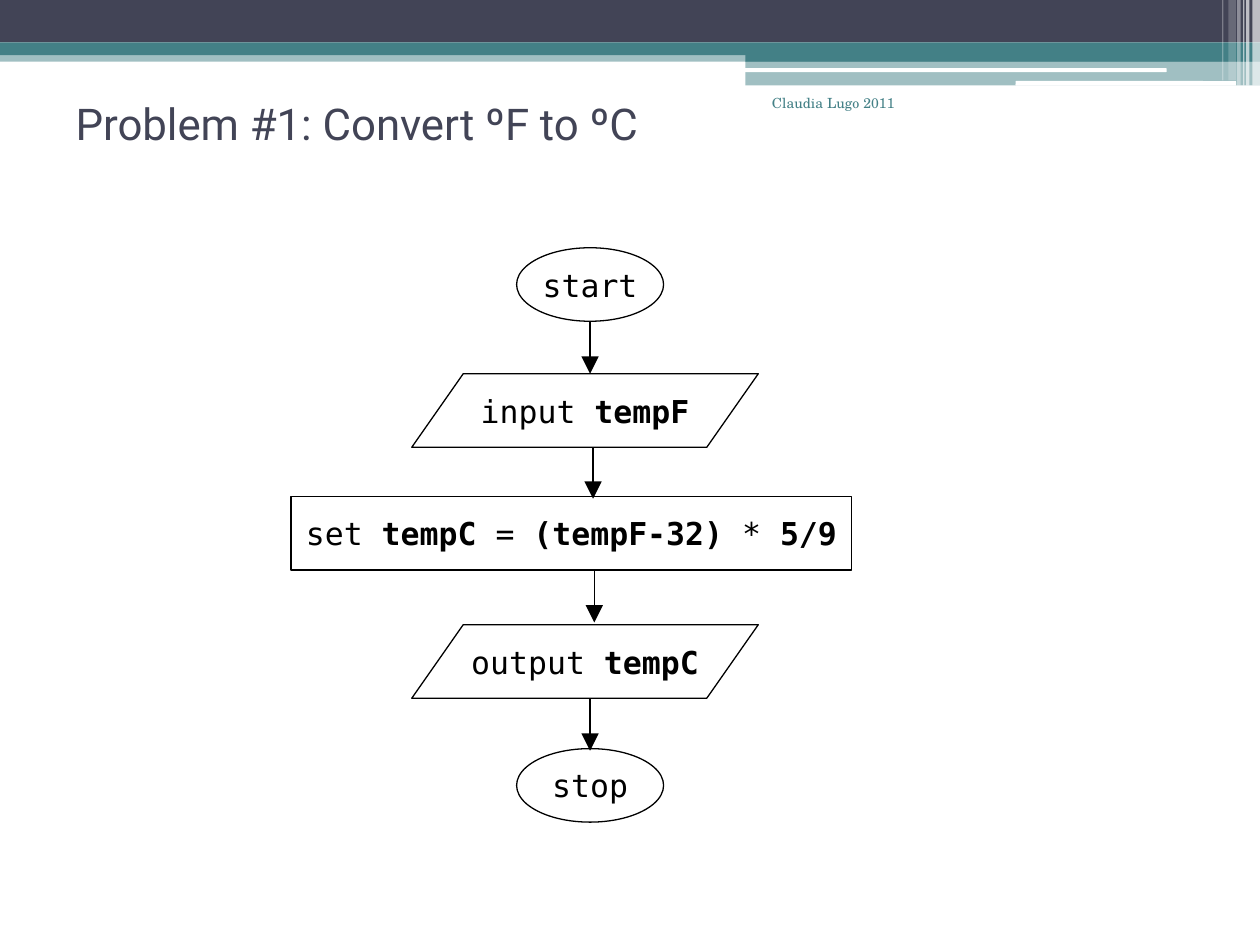
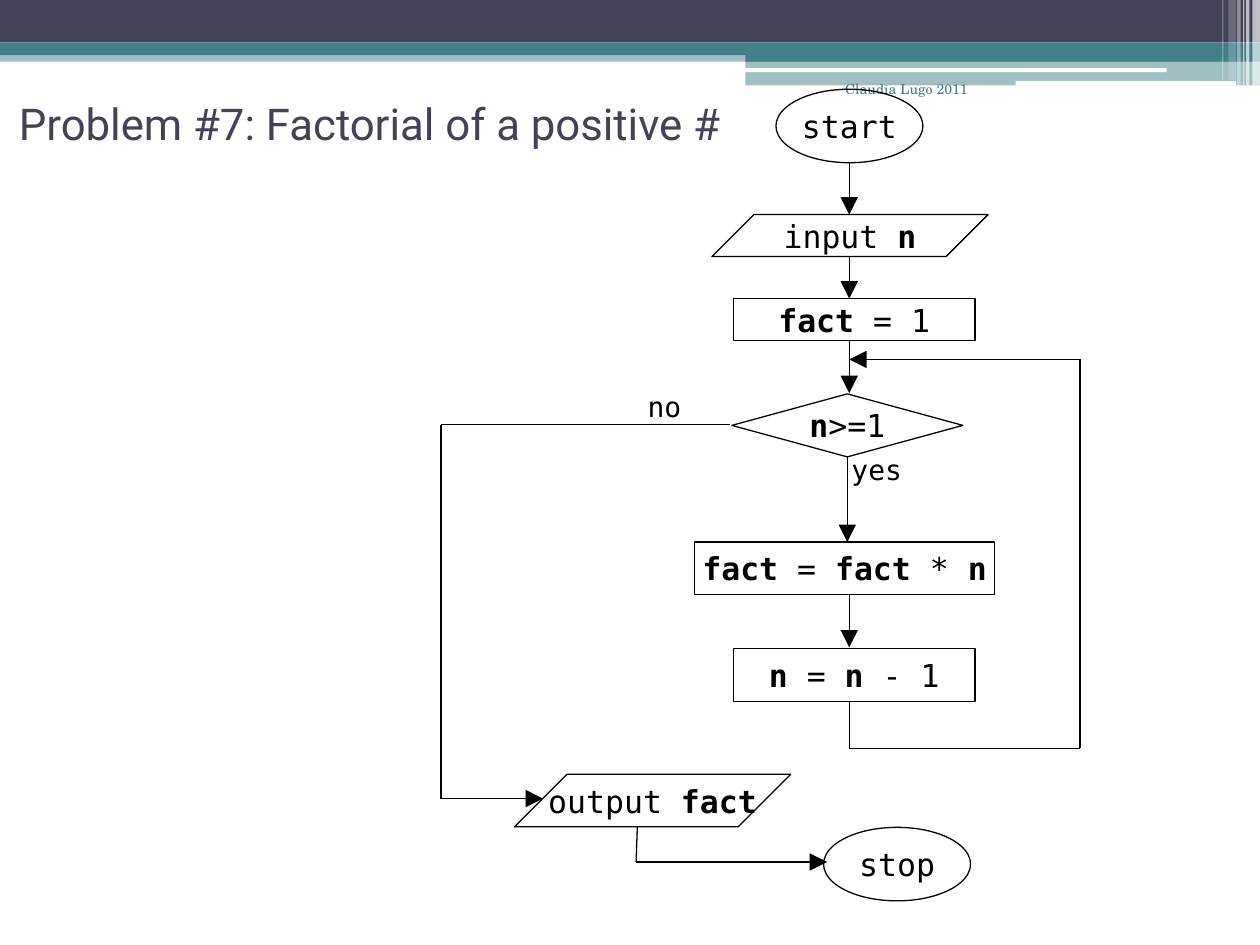
from dataclasses import dataclass

from lxml.etree import SubElement
from pptx import Presentation
from pptx.dml.color import RGBColor
from pptx.enum.shapes import MSO_CONNECTOR, MSO_SHAPE
from pptx.enum.text import MSO_ANCHOR, MSO_AUTO_SIZE, PP_ALIGN
from pptx.oxml.ns import qn
from pptx.slide import Slide, SlideLayout
from pptx.text.text import TextFrame
from pptx.util import Pt


@dataclass(frozen=True)
class TextStyle:
    font: str
    size: float
    color: str


@dataclass(frozen=True)
class Theme:
    navy: str = "424456"
    teal: str = "438086"
    white: str = "FFFFFF"
    black: str = "000000"
    line_width: float = 0.75
    title: TextStyle = TextStyle("Roboto", 25, "424456")
    footer: TextStyle = TextStyle("TeX Gyre Schola", 8, "438086")
    step: TextStyle = TextStyle("DejaVu Sans Mono", 18, "000000")
    label: TextStyle = TextStyle("DejaVu Sans Mono", 16, "000000")


THEME = Theme()


@dataclass(frozen=True)
class Box:
    left: float
    top: float
    width: float
    height: float

    def lengths(self) -> tuple[Pt, Pt, Pt, Pt]:
        return Pt(self.left), Pt(self.top), Pt(self.width), Pt(self.height)


@dataclass(frozen=True)
class Band:
    box: Box
    color: str
    opacity: int = 100
    rounded: bool = False


@dataclass(frozen=True)
class Step:
    kind: MSO_SHAPE
    text: str
    box: Box
    slant: float | None = None


@dataclass(frozen=True)
class Route:
    points: tuple[tuple[float, float], ...]


@dataclass(frozen=True)
class Label:
    text: str
    box: Box


@dataclass(frozen=True)
class Flowchart:
    title: str
    title_left: float
    footer_left: float
    footer_top: float
    steps: tuple[Step, ...]
    routes: tuple[Route, ...]
    labels: tuple[Label, ...] = ()


def terminal(text: str, left: float, top: float) -> Step:
    return Step(MSO_SHAPE.OVAL, text, Box(left, top, 84, 42))


def process(text: str, left: float, top: float, width: float, height: float) -> Step:
    return Step(MSO_SHAPE.RECTANGLE, text, Box(left, top, width, height))


def data(text: str, left: float, top: float, width: float, height: float, slant: float) -> Step:
    return Step(MSO_SHAPE.PARALLELOGRAM, text, Box(left, top, width, height), slant)


def down(x: float, start: float, end: float) -> Route:
    return Route(((x, start), (x, end)))


BANDS = (
    Band(Box(0, 28.8, 720, 6.5), THEME.teal, 50),
    Band(Box(0, 0, 720, 24.3), THEME.navy),
    Band(Box(0, 24.3, 720, 7.2), THEME.teal),
    Band(Box(426, 28, 294, 7.2), THEME.teal),
    Band(Box(426, 34.8, 294, 14), THEME.teal, 50),
    Band(Box(425.5, 39, 241.2, 2.2), THEME.white, rounded=True),
    Band(Box(580.3, 46.3, 126, 2.7), THEME.white, rounded=True),
    *(
        Band(Box(left, 0, width, height), THEME.white, opacity)
        for left, width, height, opacity in (
            (715.7, 4.3, 49, 65),
            (712, 2, 49, 65),
            (710.4, 0.7, 49, 60),
            (707, 2, 49, 40),
            (702, 4.3, 46, 20),
            (698.4, 0.7, 46, 30),
        )
    ),
)

SPINE = 485.3

FLOWCHARTS = (
    Flowchart(
        title="Problem #1: Convert ºF to ºC",
        title_left=36,
        footer_left=414,
        footer_top=50.4,
        steps=(
            terminal("start", 295.2, 141.6),
            data("input |tempF", 235.3, 213.6, 198, 42, 0.7),
            process("set |tempC |= |(tempF-32)| * |5/9", 166.3, 283.8, 320.4, 42),
            data("output |tempC", 235.3, 357, 198, 42, 0.7),
            terminal("stop", 295.2, 427.8),
        ),
        routes=(
            down(337.2, 183.6, 213.6),
            down(338.9, 255.6, 285),
            down(339.6, 326, 355.7),
            down(337.2, 399, 429),
        ),
    ),
    Flowchart(
        title="Problem #7: Factorial of a positive #",
        title_left=3.6,
        footer_left=455.8,
        footer_top=42.5,
        steps=(
            terminal("start", 443.4, 51),
            data("input |n", 406.8, 122.6, 157.8, 24, 1),
            process("|fact| = 1", 419, 170.6, 138.2, 24),
            Step(MSO_SHAPE.DIAMOND, "|n|>=1", Box(418.2, 225.1, 132, 36)),
            process("|fact| = |fact| * |n", 396.7, 309.7, 171.8, 30),
            process("|n| = |n| - 1", 419, 370.8, 138.2, 30),
            data("output |fact", 294, 442.5, 157.8, 30, 1),
            terminal("stop", 470.6, 472.8),
        ),
        routes=(
            down(SPINE, 93, 122.6),
            down(SPINE, 146.6, 170.6),
            down(SPINE, 194.6, 224.6),
            down(484.2, 261, 309.7),
            down(SPINE, 339.7, 370),
            Route(((SPINE, 400.8), (SPINE, 427.7), (617.2, 427.7), (617.2, 205.4), (SPINE, 205.4))),
            Route(((417, 242.6), (252, 242.6), (252, 456.3), (310.3, 456.3))),
            Route(((364.2, 472.5), (363.5, 492.6), (472.6, 492.6))),
        ),
        labels=(
            Label("no", Box(363, 219, 33.8, 26.6)),
            Label("yes", Box(479.5, 254.8, 44, 26.6)),
        ),
    ),
)


def write_text(
    frame: TextFrame,
    text: str,
    style: TextStyle,
    alignment: PP_ALIGN = PP_ALIGN.LEFT,
    anchor: MSO_ANCHOR = MSO_ANCHOR.TOP,
    wrap: bool = False,
) -> None:
    """Every second part between bars is bold."""
    frame.word_wrap = wrap
    frame.vertical_anchor = anchor
    paragraph = frame.paragraphs[0]
    paragraph.alignment = alignment
    for index, part in enumerate(text.split("|")):
        if part:
            run = paragraph.add_run()
            run.text = part
            run.font.name = style.font
            run.font.size = Pt(style.size)
            run.font.bold = index % 2 == 1
            run.font.color.rgb = RGBColor.from_string(style.color)


def move_bands_to_layout(slide: Slide, layout: SlideLayout) -> None:
    for number, band in enumerate(BANDS, start=100):
        kind = MSO_SHAPE.ROUNDED_RECTANGLE if band.rounded else MSO_SHAPE.RECTANGLE
        shape = slide.shapes.add_shape(kind, *band.box.lengths())
        shape.shadow.inherit = False
        shape.line.fill.background()
        shape.fill.solid()
        shape.fill.fore_color.rgb = RGBColor.from_string(band.color)
        if band.opacity < 100:
            color = shape.element.spPr.find(f"{qn('a:solidFill')}/{qn('a:srgbClr')}")
            SubElement(color, qn("a:alpha"), val=str(band.opacity * 1000))
        shape.element.nvSpPr.cNvPr.set("id", str(number))
        layout.shapes.element.append(shape.element)


def draw_title(slide: Slide, chart: Flowchart) -> None:
    title = slide.shapes.title
    box = Box(chart.title_left, 50.4, 648, 39.6)
    title.left, title.top, title.width, title.height = box.lengths()
    title.text_frame.auto_size = MSO_AUTO_SIZE.NONE
    write_text(title.text_frame, chart.title, THEME.title, anchor=MSO_ANCHOR.MIDDLE, wrap=True)


def draw_footer(slide: Slide, chart: Flowchart) -> None:
    box = Box(chart.footer_left, chart.footer_top, 104.4, 36)
    footer = slide.shapes.add_textbox(*box.lengths())
    write_text(footer.text_frame, "Claudia Lugo 2011", THEME.footer, PP_ALIGN.RIGHT, wrap=True)


def draw_step(slide: Slide, step: Step) -> None:
    shape = slide.shapes.add_shape(step.kind, *step.box.lengths())
    shape.shadow.inherit = False
    shape.fill.background()
    shape.line.color.rgb = RGBColor.from_string(THEME.black)
    shape.line.width = Pt(THEME.line_width)
    if step.slant is not None:
        shape.adjustments[0] = step.slant
    write_text(shape.text_frame, step.text, THEME.step, PP_ALIGN.CENTER, MSO_ANCHOR.MIDDLE)


def draw_route(slide: Slide, route: Route) -> None:
    for start, end in zip(route.points, route.points[1:]):
        connector = slide.shapes.add_connector(
            MSO_CONNECTOR.STRAIGHT, *(Pt(length) for length in start + end)
        )
        connector.line.color.rgb = RGBColor.from_string(THEME.black)
        connector.line.width = Pt(THEME.line_width)
        properties = connector.element.spPr
        if end == route.points[-1]:
            SubElement(properties.find(qn("a:ln")), qn("a:tailEnd"), type="triangle", w="lg", len="lg")
        SubElement(properties, qn("a:effectLst"))


def draw_label(slide: Slide, label: Label) -> None:
    text_box = slide.shapes.add_textbox(*label.box.lengths())
    text_box.text_frame.auto_size = MSO_AUTO_SIZE.SHAPE_TO_FIT_TEXT
    write_text(text_box.text_frame, label.text, THEME.label)


def main() -> None:
    presentation = Presentation()
    presentation.slide_width, presentation.slide_height = Pt(720), Pt(540)
    layout = presentation.slide_layouts.get_by_name("Title Only")
    slides = [presentation.slides.add_slide(layout) for _ in FLOWCHARTS]
    move_bands_to_layout(slides[0], layout)
    for slide, chart in zip(slides, FLOWCHARTS):
        draw_title(slide, chart)
        draw_footer(slide, chart)
        for route in chart.routes:
            draw_route(slide, route)
        for step in chart.steps:
            draw_step(slide, step)
        for label in chart.labels:
            draw_label(slide, label)
    presentation.save("out.pptx")


if __name__ == "__main__":
    main()
